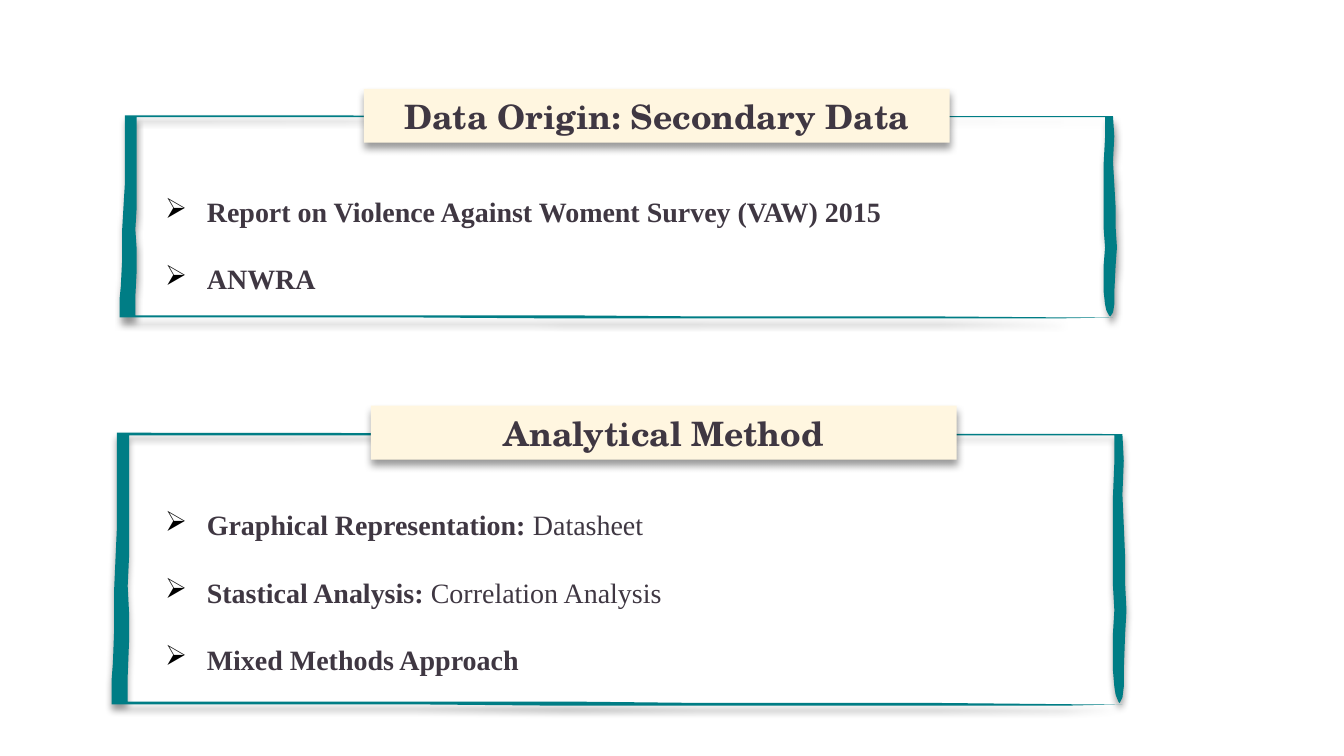
import dataclasses
import pptx
import pptx.dml.color
import pptx.enum.shapes
import pptx.enum.text
import pptx.oxml
import pptx.util

Cm = pptx.util.Cm
Align = pptx.enum.text.PP_ALIGN
TEAL, CREAM, INK = "007D85", "FFF6E0", "3F3742"
NS = 'xmlns:a="http://schemas.openxmlformats.org/drawingml/2006/main"'
HEAD = {"name": "TeX Gyre Schola", "size": pptx.util.Pt(18), "bold": True}
BODY = {"name": "Times New Roman", "size": pptx.util.Pt(15)}

# Brush-stroke frame outline, on a grid of 755 by 203
GRID = (755, 203)
EDGE = [
    # left side, outer edge
    (4, 0), (4, 47), (4, 70), (3, 92), (2, 115), (2, 145), (1, 171), (0, 184), (0, 202),
    # bottom stroke
    (13, 202), (222, 202), (334, 203), (709, 203), (752, 202.5), (719, 202),
    (617, 201), (441, 200.7), (344, 200), (12, 200),
    # left side, inner edge
    (12, 181), (13, 155), (13, 134), (12, 114), (13, 92), (13, 46), (13, 1.5),
    # right side, inner edge and tip
    (746, 1.5), (746, 22), (745, 47), (745, 93), (745, 114), (746, 132), (745, 149),
    (745, 164), (745, 177), (746, 189), (747, 195), (749, 200.5), (750, 201),
    # right side, outer edge
    (752, 197), (753, 189), (753, 177), (754, 150), (755, 132), (754, 112), (754, 92),
    (753, 69), (752, 46), (753, 21), (752, 0.7),
]


@dataclasses.dataclass
class Box:
    x: float
    y: float
    w: float
    h: float

    def emu(self) -> list:
        return [Cm(v) for v in (self.x, self.y, self.w, self.h)]


@dataclasses.dataclass
class Panel:
    frame: Box
    head: Box
    body: Box
    title: str
    items: list  # (bold text, plain text)
    align: Align


PANELS = [
    Panel(Box(2.26, 2.18, 18.85, 3.84), Box(6.88, 1.68, 11.07, 1.02),
          Box(2.87, 2.92, 15.04, 3.45), "Data Origin: Secondary Data",
          [("Report on Violence Against Woment Survey (VAW) 2015", ""), ("ANWRA", "")],
          Align.JUSTIFY),
    Panel(Box(2.11, 8.18, 19.18, 5.16), Box(7.01, 7.67, 11.07, 1.02),
          Box(2.87, 8.84, 11.91, 4.75), "Analytical Method",
          [("Graphical Representation: ", "Datasheet"),
           ("Stastical Analysis: ", "Correlation Analysis"),
           ("Mixed Methods Approach", "")],
          Align.LEFT),
]


def paint(target, tint: str) -> None:
    target.rgb = pptx.dml.color.RGBColor.from_string(tint)


def style(shape, tint: str) -> None:
    """Plain fill, no line, soft shadow straight below."""
    shape.fill.solid()
    paint(shape.fill.fore_color, tint)
    shape.line.fill.background()
    shape.shadow.inherit = False
    shape.element.spPr.find(pptx.oxml.ns.qn("a:effectLst")).append(pptx.oxml.parse_xml(
        f'<a:outerShdw {NS} blurRad="50800" dist="38100" dir="5400000" algn="t" '
        'rotWithShape="0"><a:srgbClr val="000000"><a:alpha val="40000"/></a:srgbClr>'
        '</a:outerShdw>'))


def write(para, text: str, form: dict) -> None:
    run = para.add_run()
    run.text = text
    for key, val in form.items():
        setattr(run.font, key, val)
    paint(run.font.color, INK)


def bullet(para) -> None:
    props = para._p.get_or_add_pPr()
    props.set("marL", str(Cm(0.79)))
    props.set("indent", str(-Cm(0.79)))
    for xml in (f'<a:buClr {NS}><a:srgbClr val="000000"/></a:buClr>',
                f'<a:buChar {NS} char="➢"/>'):
        props.append(pptx.oxml.parse_xml(xml))


def frame(slide, box: Box) -> None:
    x, y, w, h = box.emu()
    pen = slide.shapes.build_freeform(*EDGE[0], scale=(w / GRID[0], h / GRID[1]))
    pen.add_line_segments(EDGE[1:], close=True)
    style(pen.convert_to_shape(x, y), TEAL)


def banner(slide, box: Box, text: str) -> None:
    shape = slide.shapes.add_shape(pptx.enum.shapes.MSO_SHAPE.RECTANGLE, *box.emu())
    style(shape, CREAM)
    para = shape.text_frame.paragraphs[0]
    para.alignment = Align.CENTER
    write(para, text, HEAD)


def bullets(slide, box: Box, items: list, align: Align) -> None:
    text = slide.shapes.add_textbox(*box.emu()).text_frame
    text.word_wrap = True
    for i, (bold, plain) in enumerate(items):
        para = text.add_paragraph() if i else text.paragraphs[0]
        para.alignment = align
        para.line_spacing = 2.0
        bullet(para)
        write(para, bold, {**BODY, "bold": True})
        if plain:
            write(para, plain, {**BODY, "bold": False})


def main() -> None:
    deck = pptx.Presentation()
    deck.slide_width, deck.slide_height = Cm(25.4), Cm(14.29)
    slide = deck.slides.add_slide(deck.slide_layouts[6])
    for panel in PANELS:
        frame(slide, panel.frame)
        banner(slide, panel.head, panel.title)
        bullets(slide, panel.body, panel.items, panel.align)
    deck.save("out.pptx")


if __name__ == "__main__":
    main()
